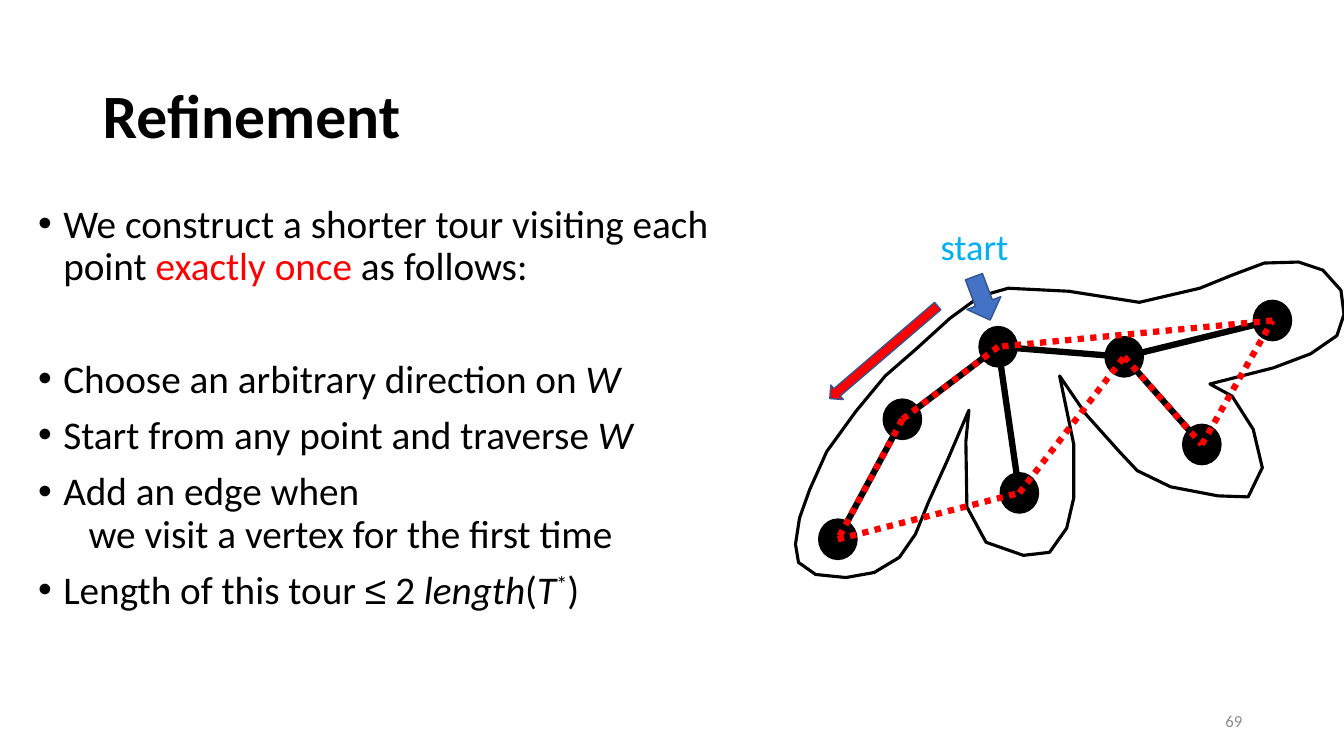
from itertools import pairwise
from lxml.etree import SubElement
from pptx import Presentation
from pptx.dml.color import RGBColor
from pptx.enum.dml import MSO_LINE
from pptx.enum.shapes import MSO_CONNECTOR, MSO_SHAPE
from pptx.enum.text import MSO_ANCHOR, PP_ALIGN
from pptx.oxml.ns import qn
from pptx.util import Pt

BLACK = RGBColor(0x00, 0x00, 0x00)
RED = RGBColor(0xFF, 0x00, 0x00)
BLUE = RGBColor(0x44, 0x72, 0xC4)
NAVY = RGBColor(0x32, 0x54, 0x91)
CYAN = RGBColor(0x00, 0xB0, 0xF0)
GRAY = RGBColor(0x8C, 0x8C, 0x8C)
PX = 9144

WALK = [
    (942, 316), (909, 346), (878, 373), (849, 408), (820, 448), (803, 486), (793, 514),
    (789, 540), (792, 558), (809, 570), (839, 573), (867, 568), (892, 553), (908, 530),
    (921, 498), (940, 456), (961, 407), (958, 438), (959, 503), (978, 538), (1015, 551),
    (1041, 548), (1058, 524), (1065, 494), (1065, 441), (1051, 373), (1077, 411),
    (1111, 449), (1128, 467), (1161, 483), (1208, 492), (1238, 493), (1252, 464),
    (1243, 426), (1222, 393), (1200, 381), (1263, 365), (1300, 351), (1326, 333),
    (1333, 312), (1330, 288), (1312, 268), (1288, 260), (1254, 261), (1222, 273),
    (1190, 286), (1130, 300), (1060, 289), (1000, 286), (972, 294),
]
POINTS = {
    "root": (990, 344), "left": (895, 416), "corner": (831, 535), "low": (1011, 489),
    "hub": (1115, 354), "right": (1192, 441), "top": (1262, 318),
}
TREE = [("left", "root"), ("corner", "left"), ("root", "low"),
        ("root", "hub"), ("hub", "right"), ("hub", "top")]
TOUR = ["root", "left", "corner", "low", "hub", "right", "top", "root"]
PLAIN, ITALIC = {}, {"italic": True}
STEPS = [
    (10, [("We construct a shorter tour visiting each point ", PLAIN),
          ("exactly once", {"color": RED}), (" as follows:", PLAIN)]),
    (50, [("Choose an arbitrary direction on ", PLAIN), ("W", ITALIC)]),
    (10, [("Start from any point and traverse ", PLAIN), ("W", ITALIC)]),
    (10, [("Add an edge when\v\twe visit a vertex for the first time", PLAIN)]),
    (10, [("Length of this tour ", PLAIN), ("≤", {"name": "Arial"}), (" 2 ", PLAIN),
          ("length", ITALIC), ("(", PLAIN), ("T", ITALIC), ("*", {"baseline": 30000}),
          (")", PLAIN)]),
]


class SlideBuilder:
    font_name = "Calibri"

    def __init__(self, presentation):
        self.slide = presentation.slides.add_slide(presentation.slide_layouts[6])
        self.shapes = self.slide.shapes

    def text_frame(self, box, anchor=MSO_ANCHOR.TOP, wrap=True):
        frame = self.shapes.add_textbox(*(value * PX for value in box)).text_frame
        frame.word_wrap = wrap
        frame.vertical_anchor = anchor
        return frame

    def style_font(self, paragraph, size, color, bold=False):
        font = paragraph.font
        font.name, font.size, font.bold = self.font_name, Pt(size), bold
        font.color.rgb = color

    def label(self, text, box, size, color, bold=False, align=PP_ALIGN.LEFT,
              anchor=MSO_ANCHOR.MIDDLE, wrap=True):
        paragraph = self.text_frame(box, anchor, wrap).paragraphs[0]
        paragraph.text = text
        paragraph.alignment = align
        self.style_font(paragraph, size, color, bold)

    def run(self, paragraph, text, name=None, color=None, italic=None, baseline=None):
        for index, line in enumerate(text.split("\v")):
            if index:
                paragraph.add_line_break()
            run = paragraph.add_run()
            run.text = line
            run.font.name, run.font.italic = name, italic
            if color is not None:
                run.font.color.rgb = color
            if baseline:
                run.font._element.set("baseline", str(baseline))

    def bullets(self, items, box, size, indent):
        frame = self.text_frame(box)
        for index, (space, runs) in enumerate(items):
            paragraph = frame.add_paragraph() if index else frame.paragraphs[0]
            paragraph.line_spacing = 0.9
            paragraph.space_before = Pt(space)
            properties = paragraph._p.get_or_add_pPr()
            properties.set("marL", str(indent * PX))
            properties.set("indent", str(-indent * PX))
            SubElement(properties, qn("a:buFont"), typeface="Arial")
            SubElement(properties, qn("a:buChar"), char="•")
            self.style_font(paragraph, size, BLACK)
            for text, style in runs:
                self.run(paragraph, text, **style)

    def shape(self, kind, box, fill, line, rotation=0):
        shape = self.shapes.add_shape(kind, *(value * PX for value in box))
        shape.shadow.inherit = False
        shape.rotation = rotation
        shape.fill.solid()
        shape.fill.fore_color.rgb = fill
        shape.line.color.rgb = line
        shape.line.width = Pt(1)

    def point(self, center, width, height):
        x, y = center
        box = (x - width // 2, y - height // 2, width, height)
        self.shape(MSO_SHAPE.OVAL, box, BLACK, BLACK)

    def outline(self, vertices, color, width):
        builder = self.shapes.build_freeform(*vertices[0], scale=PX)
        builder.add_line_segments(vertices[1:], close=True)
        shape = builder.convert_to_shape()
        shape.shadow.inherit = False
        shape.fill.background()
        shape.line.color.rgb = color
        shape.line.width = Pt(width)

    def edge(self, start, end, color, dash=None):
        ends = (value * PX for value in start + end)
        connector = self.shapes.add_connector(MSO_CONNECTOR.STRAIGHT, *ends)
        connector.line.color.rgb = color
        connector.line.width = Pt(4.5)
        connector.line.dash_style = dash
        SubElement(connector._element.spPr, qn("a:effectLst"))


def main():
    presentation = Presentation()
    presentation.slide_width, presentation.slide_height = 1333 * PX, 750 * PX
    builder = SlideBuilder(presentation)
    builder.outline(WALK, BLACK, 2.25)
    builder.label("Refinement", (92, 40, 1150, 145), 44, BLACK, bold=True)
    builder.bullets(STEPS, (28, 198, 767, 476), 28, 25)
    for center in POINTS.values():
        builder.point(center, 38, 40)
    for start, end in TREE:
        builder.edge(POINTS[start], POINTS[end], BLACK)
    for start, end in pairwise(TOUR):
        builder.edge(POINTS[start], POINTS[end], RED, MSO_LINE.ROUND_DOT)
    builder.label("69", (942, 695, 300, 40), 12, GRAY, align=PP_ALIGN.RIGHT)
    builder.shape(MSO_SHAPE.RIGHT_ARROW, (951, 278, 46, 36), BLUE, NAVY, 69.4)
    builder.label("start", (923, 217, 88, 54), 26, CYAN, anchor=MSO_ANCHOR.TOP, wrap=False)
    builder.shape(MSO_SHAPE.RIGHT_ARROW, (806, 340, 141, 19), RED, NAVY, 139.4)
    presentation.save("out.pptx")


if __name__ == "__main__":
    main()
